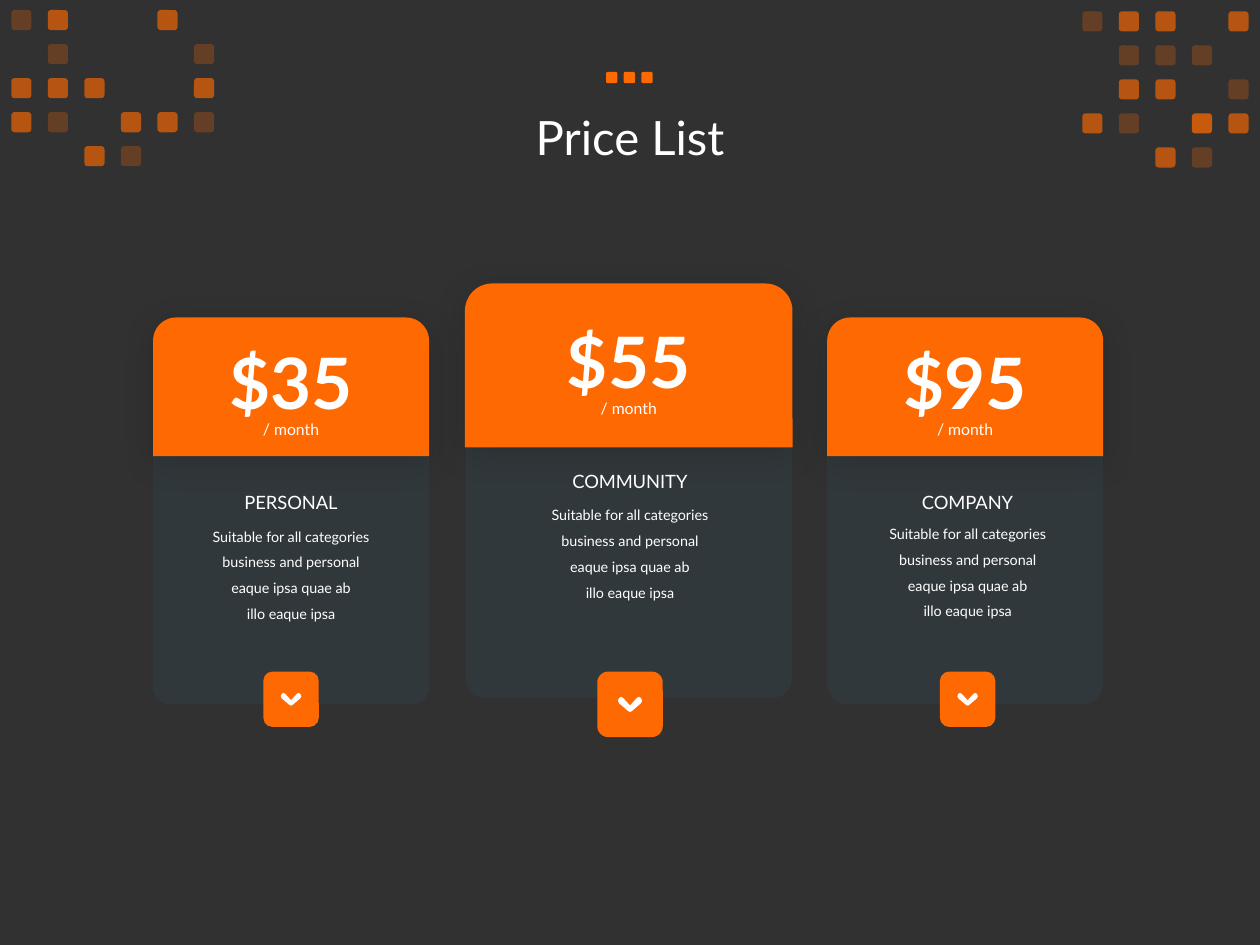
from pptx import Presentation
from pptx.util import Inches, Pt
from pptx.dml.color import RGBColor
from pptx.enum.shapes import MSO_SHAPE as Shape
from pptx.enum.text import MSO_ANCHOR as Anchor, MSO_AUTO_SIZE as AutoSize, PP_ALIGN as Align
from pptx.oxml import parse_xml
from pptx.oxml.ns import nsdecls
from lxml.etree import SubElement

ORANGE, SLATE, WHITE, DARK = "FE6902", "313C41", "FFFFFF", "313131"
FONT = "Lato"
TITLE = "Price List"
PERIOD = "/ month"
FEATURES = ["Suitable for all categories business and personal",
            "eaque ipsa quae ab", "illo eaque ipsa"]

# Centres of the card and its text; head and body are (top, width, height)
SIDE_HEAD, SIDE_BODY = (2.52, 2.19, 1.1), (3.25, 2.19, 2.34)
CARDS = [
    dict(name="PERSONAL", price="$35", center=2.31, text_center=2.31, head=SIDE_HEAD,
         body=SIDE_BODY, corner=0.059, text_top=2.64, features_top=4.08, button=0.44),
    dict(name="COMMUNITY", price="$55", center=4.99, text_center=5, head=(2.25, 2.6, 1.3),
         body=(2.87, 2.59, 2.67), corner=0.059, text_top=2.47, features_top=3.91, button=0.52),
    dict(name="COMPANY", price="$95", center=7.66, text_center=7.68, head=SIDE_HEAD,
         body=SIDE_BODY, corner=0.075, text_top=2.64, features_top=4.06, button=0.44),
]
BUTTON_TOP = 5.33

# Corner patterns: d = dim, b = bright, x = strongest square, . = gap
OPACITY = {"d": 25, "b": 65, "x": 74}
PATTERNS = [
    (0.09, 0.08, ["db..b.", ".d...d", "bbb..b", "bd.bbd", "..bd.."]),
    (8.59, 0.09, ["dbb.b", ".ddd.", ".bb.d", "bd.xb", "..bd."]),
]
COLUMN_STEP, ROW_STEP, SQUARE = 0.29, 0.27, 0.16

# Left half of the arrow, as shares of its width and height
ARROW_HALF = [(0.5, 1), (0.43, 0.96), (0.05, 0.43), (0, 0.26), (0.05, 0.08),
              (0.13, 0), (0.22, 0.08), (0.5, 0.58)]


def color(value):
    return RGBColor.from_string(value)


def paint(shape, fill, opacity=100):
    shape.shadow.inherit = False
    shape.fill.solid()
    shape.fill.fore_color.rgb = color(fill)
    shape.line.fill.background()
    if opacity < 100:
        tone = shape.fill._xPr.find(".//{*}srgbClr")
        SubElement(tone, tone.tag.replace("srgbClr", "alpha"), val=str(opacity * 1000))
    return shape


def add_block(kind, left, top, width, height, fill, opacity=100):
    shape = slide.shapes.add_shape(
        kind, Inches(left), Inches(top), Inches(width), Inches(height))
    return paint(shape, fill, opacity)


def add_shadow(shape):
    effects = shape._element.spPr.find("{*}effectLst")
    effects.append(parse_xml(
        f'<a:outerShdw {nsdecls("a")} blurRad="{Pt(19)}" dist="{Pt(4)}" dir="5400000" '
        'algn="t" rotWithShape="0"><a:srgbClr val="000000"><a:alpha val="15000"/>'
        '</a:srgbClr></a:outerShdw>'))


def format_text(frame, size, bold=False, spacing=None):
    for para in frame.paragraphs:
        para.alignment = Align.CENTER
        if spacing:
            para.line_spacing = spacing
        for span in para.runs:
            span.font.name = FONT
            span.font.size = Pt(size)
            span.font.bold = bold
            span.font.color.rgb = color(WHITE)


def add_text(text, center, top, width, height, size, bold=False, spacing=None, tight=True):
    box = slide.shapes.add_textbox(
        Inches(center - width / 2), Inches(top), Inches(width), Inches(height))
    frame = box.text_frame
    frame.word_wrap = True
    frame.auto_size = AutoSize.SHAPE_TO_FIT_TEXT
    if tight:
        frame.margin_left = frame.margin_right = Inches(0.07)
        frame.margin_top = frame.margin_bottom = Inches(0.04)
    frame.text = text
    format_text(frame, size, bold, spacing)


def add_arrow(center, middle, width):
    height = width * 0.62
    mirrored = [(1 - x, y) for x, y in ARROW_HALF[-2:0:-1]]
    points = [(Inches(center + (x - 0.5) * width), Inches(middle + (y - 0.5) * height))
              for x, y in ARROW_HALF + mirrored]
    builder = slide.shapes.build_freeform(*points[0])
    builder.add_line_segments(points[1:], close=True)
    paint(builder.convert_to_shape(), WHITE)


def add_card(card):
    center, text_center = card["center"], card["text_center"]
    text_top, button = card["text_top"], card["button"]

    # Body and head
    top, width, height = card["body"]
    body = add_block(Shape.ROUNDED_RECTANGLE, center - width / 2, top, width, height, SLATE, 65)
    body.adjustments[0] = card["corner"]
    top, width, height = card["head"]
    add_shadow(add_block(Shape.ROUND_2_SAME_RECTANGLE, center - width / 2, top,
                         width, height, ORANGE))

    # Texts
    add_text(card["price"], center, text_top, 1.3, 0.78, 40.5, bold=True, tight=False)
    add_text(PERIOD, center, text_top + 0.58, 0.83, 0.27, 9, spacing=1.5)
    add_text("\n".join(FEATURES), text_center, card["features_top"], 1.58, 0.88, 8.2, spacing=1.5)
    add_text(card["name"], text_center, text_top + 1.22, 1.44, 0.25, 10.5)

    # Button with its arrow
    add_block(Shape.ROUNDED_RECTANGLE, text_center - button / 2, BUTTON_TOP,
              button, button, ORANGE)
    add_arrow(text_center, BUTTON_TOP + button / 2, button * 0.37)


deck = Presentation()
deck.slide_width, deck.slide_height = Inches(10), Inches(7.5)
slide = deck.slides.add_slide(deck.slide_layouts[5])
slide.background.fill.solid()
slide.background.fill.fore_color.rgb = color(DARK)

# Title
title = slide.shapes.title
title.left, title.top, title.width, title.height = map(Inches, (0.69, 0.39, 8.62, 1.45))
title.text_frame.text = TITLE
title.text_frame.vertical_anchor = Anchor.MIDDLE
title.text_frame.auto_size = AutoSize.NONE
format_text(title.text_frame, 27, spacing=0.9)

for card in CARDS:
    add_card(card)

# Corner patterns
for left, top, rows in PATTERNS:
    for row, marks in enumerate(rows):
        for column, mark in enumerate(marks):
            if mark in OPACITY:
                add_block(Shape.ROUNDED_RECTANGLE, left + column * COLUMN_STEP,
                          top + row * ROW_STEP, SQUARE, SQUARE, ORANGE, OPACITY[mark])

# Three dots above the title
for index in range(3):
    add_block(Shape.ROUNDED_RECTANGLE, 4.81 + index * 0.14, 0.57, 0.09, 0.09, ORANGE)

deck.save("out.pptx")
